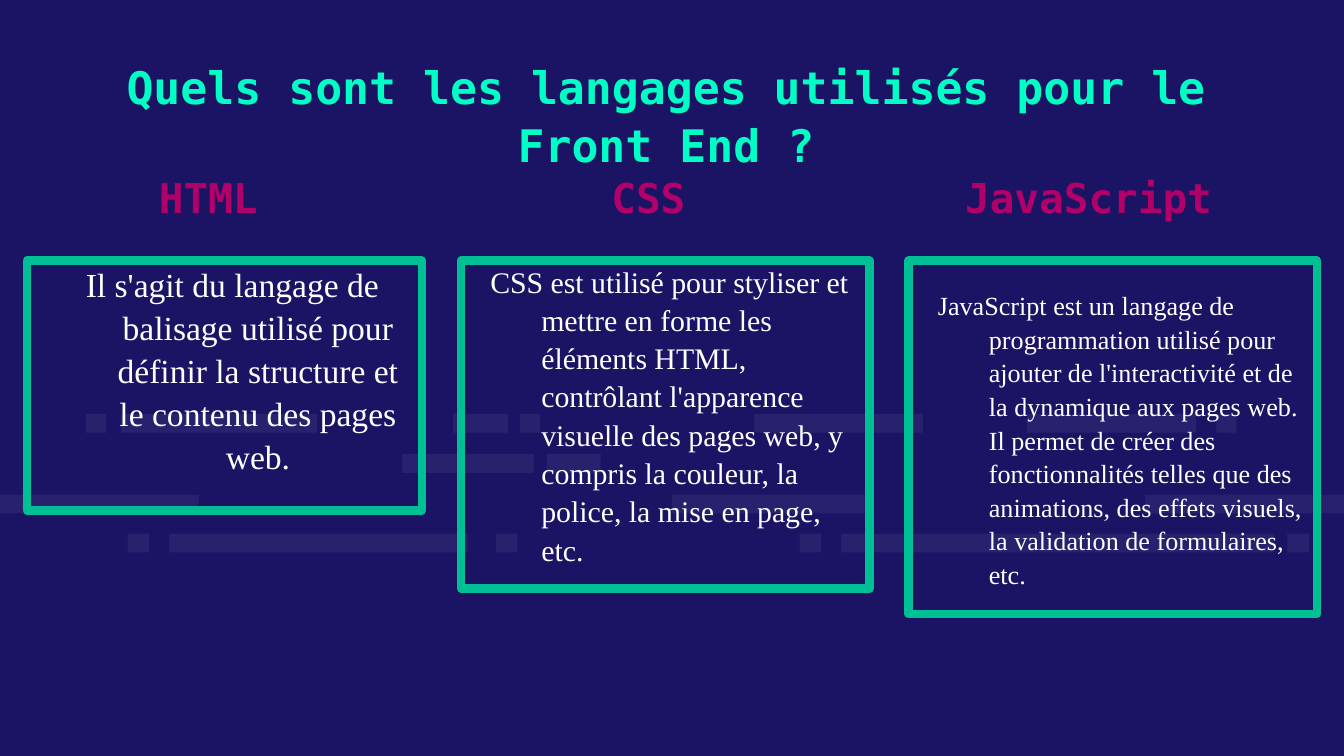
from dataclasses import dataclass

from lxml import etree
from pptx import Presentation
from pptx.dml.color import RGBColor
from pptx.enum.shapes import MSO_SHAPE
from pptx.enum.text import MSO_ANCHOR, PP_ALIGN
from pptx.oxml.ns import qn
from pptx.util import Inches, Pt

RECTANGLE = MSO_SHAPE.RECTANGLE
TOP, BOTTOM = MSO_ANCHOR.TOP, MSO_ANCHOR.BOTTOM
LEFT, CENTER = PP_ALIGN.LEFT, PP_ALIGN.CENTER

MONO, SERIF = "DejaVu Sans Mono", "Times New Roman"
NAVY, WHITE, GREEN = "1B1464", "FFFFFF", "00BF94"
MINT, MAGENTA = "00FFC5", "B10069"

BAR_HEIGHT = 0.14
BAR_OPACITY = 6
CARD_TOP = 1.94
HEADING_TOP, HEADING_HEIGHT = 1.18, 0.47

# Background bars: top of each row -> (left, width) of its bars
BAR_ROWS = {
    3.08: [(0.64, 0.15), (0.9, 1.46), (3.37, 0.41), (3.87, 0.15),
           (5.61, 1.26), (7.64, 1.26), (9.05, 0.15)],
    3.38: [(2.99, 0.98), (4.07, 0.4)],
    3.68: [(0, 1.48), (5, 1.48), (8.52, 1.48)],
    3.97: [(0.95, 0.16), (1.26, 2.22), (3.69, 0.16), (5.95, 0.16),
           (6.26, 3.22), (9.58, 0.16)],
}


@dataclass
class Language:
    name: str
    heading_left: float
    heading_width: float
    card_left: float
    card_width: float
    card_height: float
    description: str
    size: int
    align: PP_ALIGN = LEFT
    top_inset: float = 0


LANGUAGES = [
    Language("HTML", 0.42, 2.26, 0.2, 2.94, 1.86,
             "Il s'agit du langage de balisage utilisé pour définir la "
             "structure et le contenu des pages web.", 18, align=CENTER),
    Language("CSS", 3.52, 2.61, 3.43, 3.04, 2.44,
             "CSS est utilisé pour styliser et mettre en forme les éléments "
             "HTML, contrôlant l'apparence visuelle des pages web, y compris "
             "la couleur, la police, la mise en page, etc.", 16),
    Language("JavaScript", 6.97, 2.26, 6.76, 3.04, 2.63,
             "JavaScript est un langage de programmation utilisé pour ajouter "
             "de l'interactivité et de la dynamique aux pages web. Il permet "
             "de créer des fonctionnalités telles que des animations, des "
             "effets visuels, la validation de formulaires, etc.", 14,
             top_inset=0.2),
]


def set_color(color_format, color: str) -> None:
    color_format.rgb = RGBColor.from_string(color)


def write_text(shape, text: str, font: str, size: int, color: str,
               bold: bool = False, align: PP_ALIGN = CENTER,
               anchor: MSO_ANCHOR = TOP, top: float = 0.1,
               bottom: float = 0.1):
    """Fill a shape with one formatted paragraph and return the paragraph."""
    frame = shape.text_frame
    frame.text = text
    frame.word_wrap = True
    frame.vertical_anchor = anchor
    frame.margin_left = frame.margin_right = Inches(0.1)
    frame.margin_top, frame.margin_bottom = Inches(top), Inches(bottom)
    para = frame.paragraphs[0]
    para.alignment = align
    span = para.runs[0]
    span.font.name, span.font.size, span.font.bold = font, Pt(size), bold
    set_color(span.font.color, color)
    return para


def add_box(page, left: float, top: float, width: float, height: float):
    return page.shapes.add_textbox(Inches(left), Inches(top),
                                   Inches(width), Inches(height))


def add_rectangle(page, left: float, top: float, width: float, height: float):
    shape = page.shapes.add_shape(RECTANGLE, Inches(left), Inches(top),
                                  Inches(width), Inches(height))
    shape.shadow.inherit = False
    return shape


def add_bar(page, left: float, top: float, width: float) -> None:
    bar = add_rectangle(page, left, top, width, BAR_HEIGHT)
    bar.fill.solid()
    set_color(bar.fill.fore_color, WHITE)
    bar.line.fill.background()
    color = bar.fill._xPr.find(qn("a:solidFill"))[0]
    etree.SubElement(color, qn("a:alpha"), val=str(BAR_OPACITY * 1000))


def add_card(page, language: Language) -> None:
    card = add_rectangle(page, language.card_left, CARD_TOP,
                         language.card_width, language.card_height)
    card.fill.background()
    set_color(card.line.color, GREEN)
    card.line.width = Pt(4.5)
    etree.SubElement(card.line._get_or_add_ln(), qn("a:round"))
    para = write_text(card, language.description, SERIF, language.size, WHITE,
                      align=language.align, top=language.top_inset)
    para.line_spacing = 1.07
    para.space_after = Pt(8)
    # Hanging indent
    properties = para._p.get_or_add_pPr()
    properties.set("marL", str(Inches(0.5)))
    properties.set("indent", str(Inches(-0.38)))


def add_heading(page, language: Language) -> None:
    heading = add_box(page, language.heading_left, HEADING_TOP,
                      language.heading_width, HEADING_HEIGHT)
    write_text(heading, language.name, MONO, 22, MAGENTA, bold=True,
               anchor=BOTTOM, bottom=0)


def main() -> None:
    deck = Presentation()
    deck.slide_width = Inches(10)
    deck.slide_height = Inches(10) * 9 // 16
    page = deck.slides.add_slide(deck.slide_layouts[6])
    page.background.fill.solid()
    set_color(page.background.fill.fore_color, NAVY)

    # Background bars
    for top, bars in BAR_ROWS.items():
        for left, width in bars:
            add_bar(page, left, top, width)

    # Title
    title = add_box(page, 0.66, 0.32, 8.59, 0.73)
    para = write_text(title, "Quels sont les langages utilisés pour le Front End ?",
                      MONO, 24, MINT, bold=True)
    para.line_spacing = 1.07
    para.space_after = Pt(8)

    # One heading and one card per language
    for language in LANGUAGES:
        add_card(page, language)
        add_heading(page, language)

    deck.save("out.pptx")


if __name__ == "__main__":
    main()
